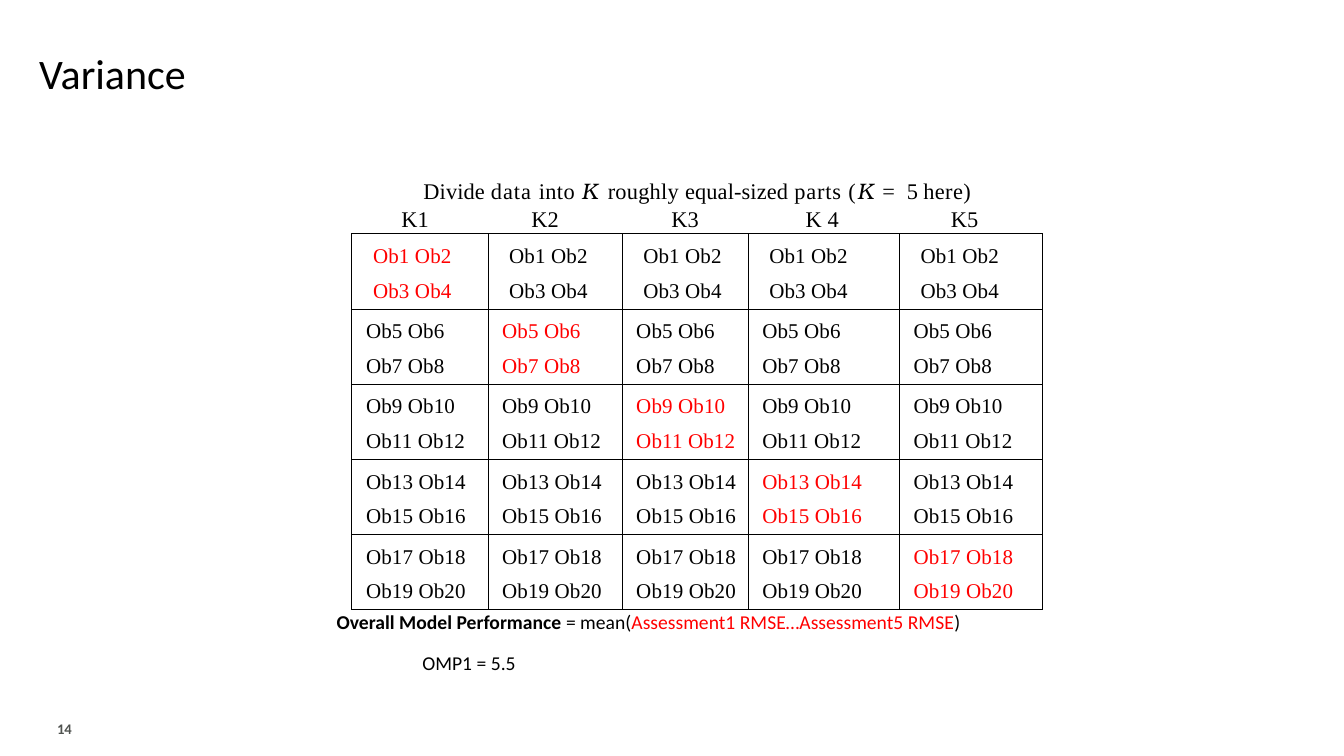
from dataclasses import dataclass

from lxml import etree
from pptx import Presentation
from pptx.dml.color import RGBColor
from pptx.enum.text import MSO_ANCHOR, MSO_AUTO_SIZE, PP_ALIGN
from pptx.oxml.ns import qn
from pptx.util import Inches, Pt

CENTER, RIGHT = PP_ALIGN.CENTER, PP_ALIGN.RIGHT
MIDDLE, BOTTOM = MSO_ANCHOR.MIDDLE, MSO_ANCHOR.BOTTOM
GROW = MSO_AUTO_SIZE.SHAPE_TO_FIT_TEXT


@dataclass(frozen=True)
class Theme:
    black: str = "000000"
    red: str = "FF0000"
    gray: str = "505350"
    sans: str = "Calibri"
    serif: str = "Times New Roman"
    math: str = "TeX Gyre Bonum"
    title: float = 30
    caption: float = 16
    cell: float = 15
    body: float = 14
    number: float = 10.5
    border: float = 0.75


def grid(units):
    """Ten grid columns or rows to the inch."""
    return Inches(units / 10)


def apply(target, values):
    for name, value in values.items():
        setattr(target, name, value)


class SlideBuilder:
    def __init__(self, deck, theme):
        self.theme = theme
        self.page = deck.slides.add_slide(deck.slide_layouts[6])

    def span(self, para, text, color=None, spacing=None, **font):
        span = para.add_run()
        span.text = text
        apply(span.font, font)
        span.font.color.rgb = RGBColor.from_string(color or self.theme.black)
        if spacing is not None:
            span._r.get_or_add_rPr().set("spc", str(round(spacing * 100)))

    def para(self, frame, spans, base, indent=0, tabs=(), **layout):
        """Write spans of (text, font values) over shared base values."""
        para = frame.paragraphs[0]
        if para.runs:
            para = frame.add_paragraph()
        apply(para, layout)
        props = para._p.get_or_add_pPr()
        props.set("marL", str(grid(indent)))
        if tabs:
            stops = etree.SubElement(props, qn("a:tabLst"))
            for stop in tabs:
                etree.SubElement(stops, qn("a:tab"), pos=str(grid(stop)), algn="l")
        for text, values in spans:
            self.span(para, text, **{**base, **values})

    def text(self, left, top, width, height, margins=(1, 0.5, 1, 0.5), **frame_values):
        box = self.page.shapes.add_textbox(*map(grid, (left, top, width, height)))
        sides = ("margin_left", "margin_top", "margin_right", "margin_bottom")
        apply(box.text_frame, {"word_wrap": True, **frame_values,
                               **dict(zip(sides, map(grid, margins)))})
        return box.text_frame

    def table(self, left, top, widths, row_height, row_count):
        frame = self.page.shapes.add_table(
            row_count, len(widths), grid(left), grid(top),
            grid(sum(widths)), grid(row_height * row_count))
        table = frame.table
        apply(table, {"first_row": False, "horz_banding": False})
        for column, width in zip(table.columns, widths):
            column.width = grid(width)
        for cell in table.iter_cells():
            apply(cell, {"margin_left": 0, "margin_top": grid(1.1),
                         "margin_right": 0, "margin_bottom": 0})
            cell.fill.background()
            self.borders(cell)
        return table

    def borders(self, cell):
        props = cell._tc.get_or_add_tcPr()
        for index, side in enumerate("LRTB"):
            line = etree.Element(qn(f"a:ln{side}"), w=str(Pt(self.theme.border)))
            fill = etree.SubElement(line, qn("a:solidFill"))
            etree.SubElement(fill, qn("a:srgbClr"), val=self.theme.black)
            props.insert(index, line)


def main():
    deck = Presentation()
    deck.slide_width, deck.slide_height = Inches(13.33), Inches(7.5)
    theme = Theme()
    slide = SlideBuilder(deck, theme)

    # Title and slide number
    title = slide.text(2.9, 2.6, 127.5, 9.9, vertical_anchor=MIDDLE)
    slide.para(title, [("Variance", {})],
               {"name": theme.sans, "size": Pt(theme.title)}, line_spacing=0.9)
    number = slide.text(3.2, 70.7, 4.9, 2.9, vertical_anchor=BOTTOM)
    slide.para(number, [("14", {"bold": True, "color": theme.gray})],
               {"name": theme.sans, "size": Pt(theme.number)}, alignment=RIGHT)

    # Folds: the assessment part of each fold lies on the diagonal
    folds = 5
    table = slide.table(34.9, 23.2, (13.5, 13.3, 12.5, 15, 14.2), 7.46, folds)
    for row in range(folds):
        first = 4 * row + 1
        for column in range(folds):
            cell_style = {"name": theme.serif, "size": Pt(theme.cell), "spacing": 0.1,
                          "color": theme.red if row == column else theme.black}
            for start in (first, first + 2):
                slide.para(table.cell(row, column).text_frame,
                           [(f"Ob{start} Ob{start + 1}", {})], cell_style,
                           indent=1.4 if row else 2.1, space_before=Pt(8.2))

    # Caption and fold labels
    caption = slide.text(35.7, 17.5, 66.8, 5.7, margins=(0, 0.1, 0, 0), auto_size=GROW)
    caption_style = {"name": theme.serif, "size": Pt(theme.caption), "spacing": 0.1}
    variable = {"name": theme.math, "italic": True}
    slide.para(caption, [
        ("Divide ", {}),
        ("data ", {"spacing": 0.7}),
        ("into ", {"spacing": 0.3}),
        ("K ", {**variable, "spacing": 1.3}),
        ("roughly ", {"spacing": 0.2}),
        ("equal-sized ", {}),
        ("parts ", {"spacing": 0.6}),
        ("(", {"spacing": 0.9}),
        ("K ", {**variable, "spacing": 0.9}),
        ("= ", {"spacing": 2.2}),
        ("5 ", {"spacing": -0.1}),
        ("here)", {"spacing": 0.3}),
    ], caption_style, indent=0.1, alignment=CENTER, space_before=Pt(0.9))
    slide.para(caption, [("\tK1\tK2\tK3\tK 4\tK5", {})], caption_style, indent=0.1,
               tabs=(4, 16.9, 30.8, 44.1, 58.5), space_before=Pt(0.9))

    # Model performance
    body_style = {"name": theme.sans, "size": Pt(theme.body)}
    body_layout = {"line_spacing": 0.95, "space_before": Pt(4), "space_after": Pt(2)}
    formula = slide.text(32.4, 60.2, 73.4, 3.2, auto_size=GROW)
    slide.para(formula, [
        ("Overall Model Performance ", {"bold": True}),
        ("= mean(", {}),
        ("Assessment1 RMSE…Assessment5 RMSE", {"color": theme.red}),
        (")", {}),
    ], body_style, **body_layout)
    result = slide.text(40.9, 64.2, 51.5, 3.2, auto_size=GROW)
    slide.para(result, [("OMP1 = 5.5", {})], body_style, **body_layout)

    deck.save("out.pptx")


if __name__ == "__main__":
    main()
